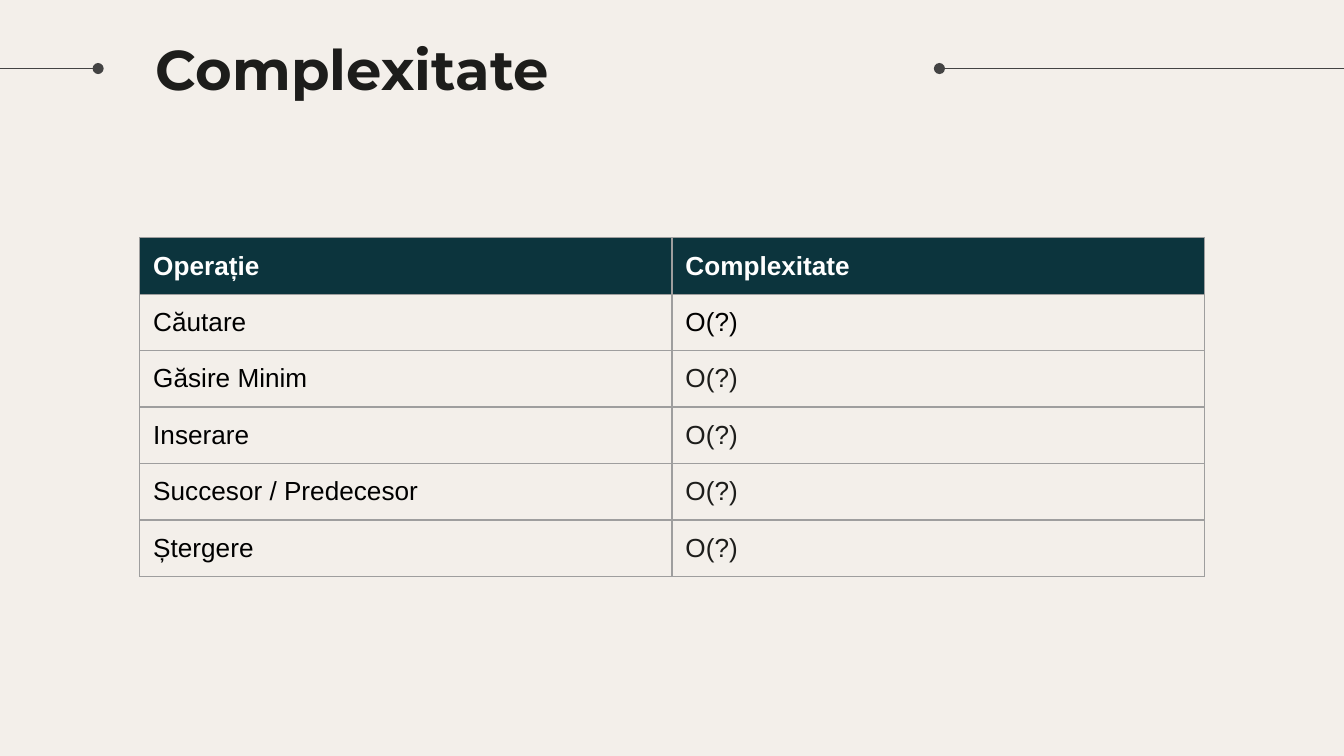
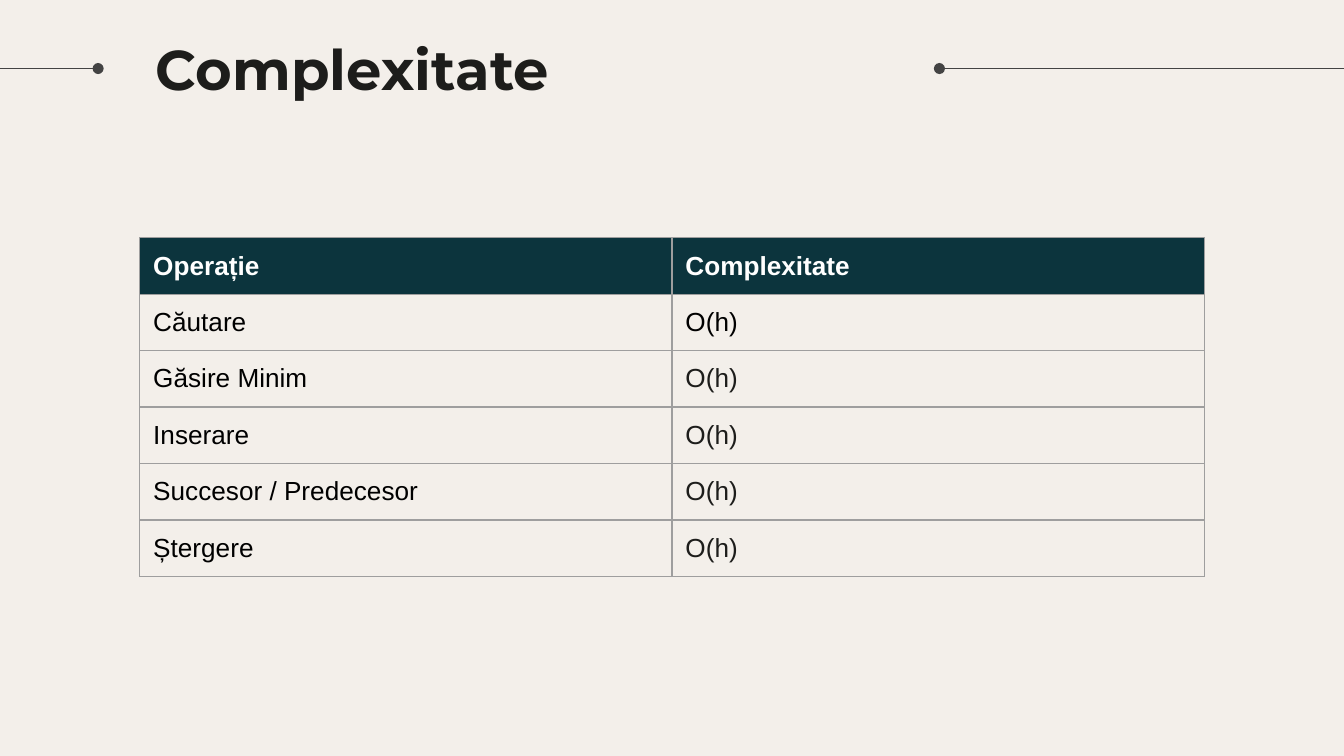
from lxml import etree
from pptx import Presentation
from pptx.dml.color import RGBColor
from pptx.enum.shapes import MSO_CONNECTOR, PP_PLACEHOLDER
from pptx.enum.text import MSO_ANCHOR, PP_ALIGN
from pptx.oxml.ns import qn
from pptx.util import Inches, Pt

STRAIGHT = MSO_CONNECTOR.STRAIGHT
TITLE_TYPE = PP_PLACEHOLDER.TITLE
MIDDLE, TOP = MSO_ANCHOR.MIDDLE, MSO_ANCHOR.TOP
LEFT = PP_ALIGN.LEFT

TITLE = "Complexitate"
HEADERS = ("Operație", "Complexitate")
OPERATIONS = ("Căutare", "Găsire Minim", "Inserare", "Succesor / Predecesor", "Ștergere")
SLIDE_COSTS = ("O(?)", "O(h)")

COLORS = {
    "background": "F3EFEA",
    "rule": "434343",
    "ink": "1D1D1B",
    "black": "000000",
    "white": "FFFFFF",
    "header": "0C343D",
    "border": "9E9E9E",
}
SLIDE_WIDTH = 10
SLIDE_HEIGHT = SLIDE_WIDTH * 9 / 16
RULE_Y = 0.51
RULES = ((0.73, 0), (6.99, SLIDE_WIDTH))
TITLE_BOX = (1.06, 0.04, 6.74, 0.94)
TABLE_LEFT, TABLE_TOP = 1.04, 1.77
COLUMN_WIDTH, ROW_HEIGHT = 3.96, 0.42
INSET = Inches(0.1)
LINE_WIDTH = Pt(0.75)


def rgb(name):
    return RGBColor.from_string(COLORS[name])


def write_text(frame, text, font="Arial", size=14, color="black", bold=False):
    paragraph = frame.paragraphs[0]
    paragraph.alignment = LEFT
    run = paragraph.add_run()
    run.text = text
    run.font.name = font
    run.font.size = Pt(size)
    run.font.bold = bold
    run.font.color.rgb = rgb(color)


def set_insets(target):
    target.margin_left = target.margin_right = INSET
    target.margin_top = target.margin_bottom = INSET


def prepare_layout(layout):
    layout.background.fill.solid()
    layout.background.fill.fore_color.rgb = rgb("background")
    for placeholder in list(layout.placeholders):
        if placeholder.placeholder_format.type != TITLE_TYPE:
            layout.shapes.element.remove(placeholder.element)


def add_rule(slide, layout, start, end):
    rule = slide.shapes.add_connector(
        STRAIGHT, Inches(start), Inches(RULE_Y), Inches(end), Inches(RULE_Y))
    rule.line.color.rgb = rgb("rule")
    rule.line.width = LINE_WIDTH
    properties = rule.element.spPr
    etree.SubElement(properties.find(qn("a:ln")), qn("a:headEnd"), type="oval")
    etree.SubElement(properties, qn("a:effectLst"))
    rule.element.nvCxnSpPr.cNvPr.set("id", str(len(layout.shapes) + 10))
    layout.shapes.element.append(rule.element)


def set_borders(cell):
    properties = cell._tc.get_or_add_tcPr()
    for position, side in enumerate(("lnL", "lnR", "lnT", "lnB")):
        line = etree.Element(qn(f"a:{side}"), w=str(LINE_WIDTH))
        fill = etree.SubElement(line, qn("a:solidFill"))
        etree.SubElement(fill, qn("a:srgbClr"), val=COLORS["border"])
        properties.insert(position, line)


def add_title(slide):
    title = slide.shapes.title
    title.left, title.top, title.width, title.height = map(Inches, TITLE_BOX)
    frame = title.text_frame
    frame.word_wrap = True
    frame.vertical_anchor = MIDDLE
    set_insets(frame)
    write_text(frame, TITLE, font="Montserrat", size=30, color="ink", bold=True)


def add_cost_table(slide, cost):
    rows = [HEADERS] + [(operation, cost) for operation in OPERATIONS]
    table = slide.shapes.add_table(
        len(rows), len(HEADERS), Inches(TABLE_LEFT), Inches(TABLE_TOP),
        Inches(COLUMN_WIDTH * len(HEADERS)), Inches(ROW_HEIGHT * len(rows))).table
    table.horz_banding = False
    for column in table.columns:
        column.width = Inches(COLUMN_WIDTH)
    for row_index, values in enumerate(rows):
        table.rows[row_index].height = Inches(ROW_HEIGHT)
        is_header = row_index == 0
        for column_index, text in enumerate(values):
            cell = table.cell(row_index, column_index)
            cell.vertical_anchor = TOP
            set_insets(cell)
            if is_header:
                cell.fill.solid()
                cell.fill.fore_color.rgb = rgb("header")
                color = "white"
            else:
                cell.fill.background()
                color = "ink" if column_index == 1 and row_index > 1 else "black"
            write_text(cell.text_frame, text, color=color, bold=is_header)
            set_borders(cell)


def main():
    presentation = Presentation()
    presentation.slide_width = Inches(SLIDE_WIDTH)
    presentation.slide_height = Inches(SLIDE_HEIGHT)
    layout = presentation.slide_layouts.get_by_name("Title Only")
    prepare_layout(layout)
    slides = [presentation.slides.add_slide(layout) for _ in SLIDE_COSTS]
    for start, end in RULES:
        add_rule(slides[0], layout, start, end)
    for slide, cost in zip(slides, SLIDE_COSTS):
        add_title(slide)
        add_cost_table(slide, cost)
    presentation.save("out.pptx")


if __name__ == "__main__":
    main()
